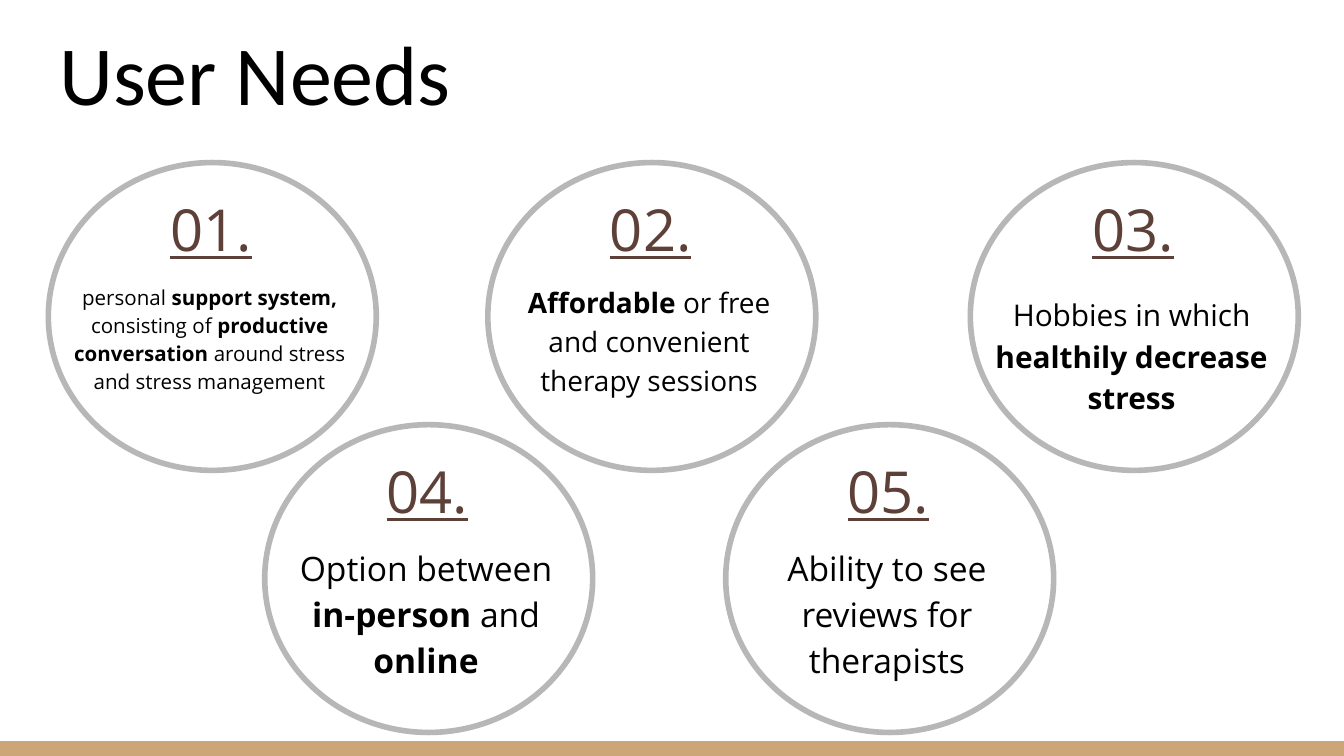
from pptx import Presentation
from pptx.dml.color import RGBColor
from pptx.enum.shapes import MSO_SHAPE
from pptx.enum.text import MSO_ANCHOR, MSO_AUTO_SIZE, PP_ALIGN
from pptx.util import Inches, Pt

WHITE = RGBColor(0xFF, 0xFF, 0xFF)
BLACK = RGBColor(0x00, 0x00, 0x00)
GREY = RGBColor(0xB7, 0xB7, 0xB7)
BROWN = RGBColor(0x5D, 0x40, 0x37)
TAN = RGBColor(0xCC, 0xA6, 0x77)

SLIDE_WIDTH = 10
SLIDE_HEIGHT = SLIDE_WIDTH * 9 / 16
BAR_HEIGHT = 0.11
CIRCLE_WIDTH, CIRCLE_HEIGHT = 2.44, 2.29
NUMBER_WIDTH, NUMBER_HEIGHT = 0.82, 0.72
BODY_WIDTH = 2.28
UPPER_ROW, LOWER_ROW = 1.21, 3.16

# number, left, top, body top, body height, font size, wording with **bold** parts
NEEDS = [
    ("01.", 0.36, UPPER_ROW, 1.99, 1.03, 11,
     "personal **support system, **consisting of **productive conversation**"
     " around stress and stress management"),
    ("02.", 3.63, UPPER_ROW, 1.99, 1.04, 15,
     "**Affordable **or free and convenient therapy sessions"),
    ("04.", 1.97, LOWER_ROW, 3.93, 1.2, 18,
     "Option between **in-person **and **online**"),
    ("05.", 5.4, LOWER_ROW, 3.93, 1.2, 18,
     "Ability to see reviews for therapists"),
    ("03.", 7.22, UPPER_ROW, 2.07, 1.09, 16,
     "Hobbies in which **healthily decrease stress**"),
]


def format_font(font, name, size, color):
    font.name = name
    font.size = Pt(size)
    font.color.rgb = color


def prepare_frame(text_frame):
    text_frame.word_wrap = True
    text_frame.auto_size = MSO_AUTO_SIZE.NONE
    text_frame.margin_left = text_frame.margin_right = Inches(0.1)
    text_frame.margin_top = text_frame.margin_bottom = Inches(0.1)


def set_title(slide, text):
    title = slide.shapes.title
    title.left, title.top = Inches(0.34), Inches(0.1)
    title.width, title.height = Inches(9.32), Inches(0.91)
    prepare_frame(title.text_frame)
    title.text_frame.vertical_anchor = MSO_ANCHOR.BOTTOM
    title.text_frame.text = text
    paragraph = title.text_frame.paragraphs[0]
    paragraph.alignment = PP_ALIGN.LEFT
    format_font(paragraph.runs[0].font, "Calibri", 45, BLACK)


def add_bar(slide):
    bar = slide.shapes.add_shape(
        MSO_SHAPE.RECTANGLE, 0, Inches(SLIDE_HEIGHT - BAR_HEIGHT),
        Inches(SLIDE_WIDTH), Inches(BAR_HEIGHT))
    bar.shadow.inherit = False
    bar.fill.solid()
    bar.fill.fore_color.rgb = TAN
    bar.line.fill.background()


def add_circle(slide, left, top):
    circle = slide.shapes.add_shape(
        MSO_SHAPE.OVAL, Inches(left), Inches(top),
        Inches(CIRCLE_WIDTH), Inches(CIRCLE_HEIGHT))
    circle.shadow.inherit = False
    circle.fill.background()
    circle.line.color.rgb = GREY
    circle.line.width = Pt(3)


def add_text_box(slide, left, top, width, height):
    """Add an empty text box and return its first paragraph."""
    box = slide.shapes.add_textbox(
        Inches(left), Inches(top), Inches(width), Inches(height))
    prepare_frame(box.text_frame)
    return box.text_frame.paragraphs[0]


def add_number(slide, left, top, number):
    paragraph = add_text_box(slide, left, top, NUMBER_WIDTH, NUMBER_HEIGHT)
    paragraph.text = number
    font = paragraph.runs[0].font
    format_font(font, "Open Sans", 31, BROWN)
    font.underline = True


def add_body(slide, left, top, height, size, wording):
    paragraph = add_text_box(slide, left, top, BODY_WIDTH, height)
    paragraph.alignment = PP_ALIGN.CENTER
    paragraph.line_spacing = 1.15
    paragraph.space_after = Pt(12)
    for index, part in enumerate(wording.split("**")):
        if part:
            run = paragraph.add_run()
            run.text = part
            format_font(run.font, "Open Sans", size, BLACK)
            run.font.bold = index % 2 == 1


def add_need(slide, number, left, top, body_top, body_height, size, wording):
    add_circle(slide, left, top)
    number_left = left + (CIRCLE_WIDTH - NUMBER_WIDTH) / 2
    add_number(slide, number_left, top + 0.13, number)
    add_body(slide, left + 0.06, body_top, body_height, size, wording)


def main():
    presentation = Presentation()
    presentation.slide_width = Inches(SLIDE_WIDTH)
    presentation.slide_height = Inches(SLIDE_HEIGHT)
    slide = presentation.slides.add_slide(presentation.slide_layouts[5])
    slide.background.fill.solid()
    slide.background.fill.fore_color.rgb = WHITE
    add_bar(slide)
    set_title(slide, "User Needs")
    for need in NEEDS:
        add_need(slide, *need)
    presentation.save("out.pptx")


if __name__ == "__main__":
    main()
